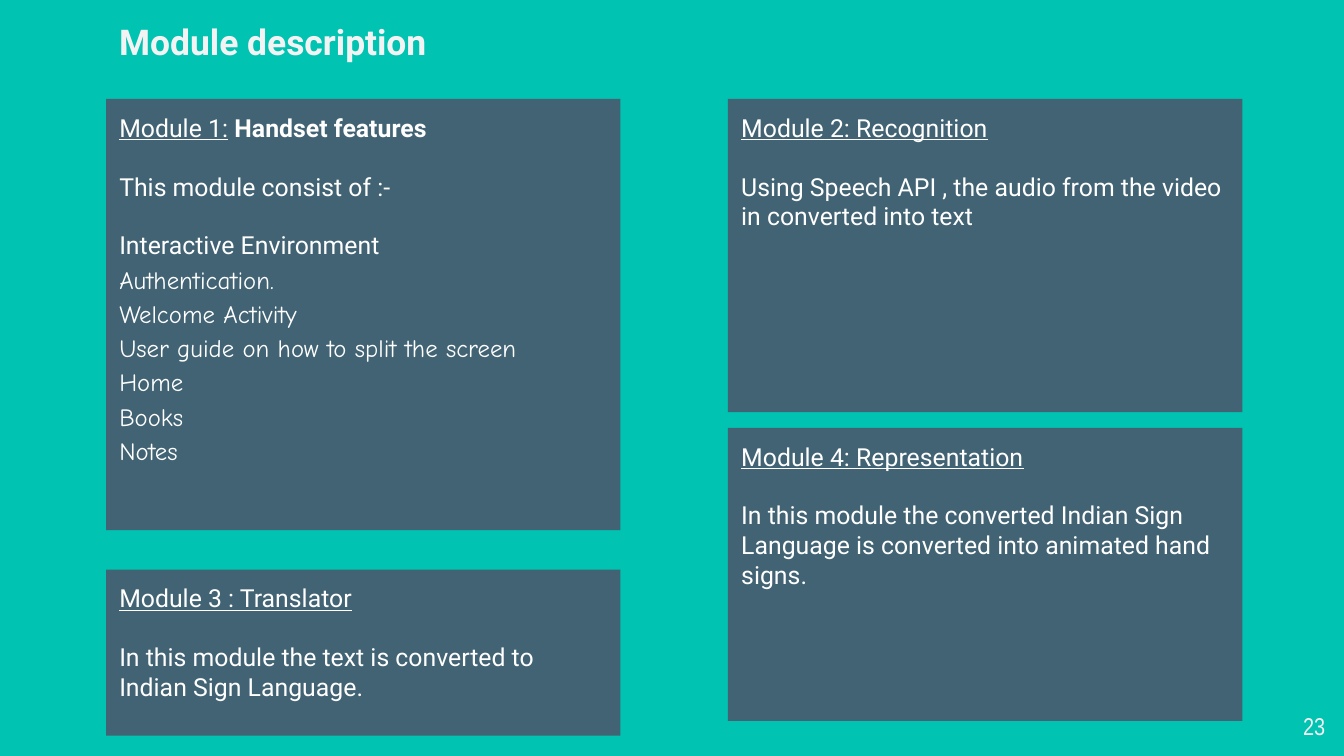
from lxml.etree import SubElement
from pptx import Presentation
from pptx.dml.color import RGBColor
from pptx.enum.shapes import MSO_SHAPE as Shape
from pptx.enum.text import MSO_ANCHOR as Anchor, PP_ALIGN as Align
from pptx.oxml.ns import qn
from pptx.util import Pt

TEAL = RGBColor(0x00, 0xC3, 0xB1)
PLUM = RGBColor(0x74, 0x1B, 0x47)
WHITE = RGBColor(0xFF, 0xFF, 0xFF)
PALE = RGBColor(0xF3, 0xF3, 0xF3)

BODY_SIZE = 13.3
GAP = 15.6  # one body line


def set_frame(shape):
    frame = shape.text_frame
    frame.word_wrap = True
    frame.vertical_anchor = Anchor.TOP
    frame.margin_left = frame.margin_right = Pt(7.2)
    frame.margin_top = frame.margin_bottom = Pt(7.2)
    return frame


def add_run(paragraph, text, font="Roboto", size=BODY_SIZE, color=WHITE,
            bold=False, underline=False, align=Align.LEFT):
    paragraph.alignment = align
    run = paragraph.add_run()
    run.text = text
    run.font.name = font
    run.font.size = Pt(size)
    run.font.color.rgb = color
    run.font.bold = bold
    run.font.underline = underline


presentation = Presentation()
presentation.slide_width = Pt(720)
presentation.slide_height = Pt(405)
slide = presentation.slides.add_slide(presentation.slide_layouts[6])
slide.background.fill.solid()
slide.background.fill.fore_color.rgb = TEAL

# Title
title = slide.shapes.add_textbox(Pt(56.8), Pt(3.6), Pt(204.5), Pt(45.4))
add_run(set_frame(title).paragraphs[0], "Module description",
        size=19, color=PALE, bold=True)

# Module panels: left, top, height, heading, bold heading part, texts, list
LEFT, RIGHT, PANEL_WIDTH = 56.8, 390, 275.6
FEATURES = ["Authentication.", "Welcome Activity",
            "User guide on how to split the screen", "Home", "Books", "Notes"]
panels = [
    (LEFT, 53, 231, "Module 1:", "Handset features",
     ["This module consist of :-", "Interactive Environment"], FEATURES),
    (RIGHT, 53, 167.8, "Module 2: Recognition", "",
     ["Using Speech API , the audio from the video in converted into text"], []),
    (RIGHT, 229.2, 157, "Module 4: Representation", "",
     ["In this module the converted Indian Sign Language is converted "
      "into animated hand signs."], []),
    (LEFT, 305.2, 89, "Module 3 : Translator", "",
     ["In this module the text is converted to Indian Sign Language."], []),
]
for left, top, height, heading, bold_part, texts, items in panels:
    panel = slide.shapes.add_shape(Shape.RECTANGLE, Pt(left), Pt(top),
                                   Pt(PANEL_WIDTH), Pt(height))
    panel.shadow.inherit = False
    panel.line.fill.background()
    panel.fill.solid()
    panel.fill.fore_color.rgb = PLUM
    color = panel.fill._xPr.find(".//" + qn("a:srgbClr"))
    SubElement(color, qn("a:alpha"), val="57000")

    frame = set_frame(panel)
    paragraph = frame.paragraphs[0]
    add_run(paragraph, heading, underline=True)
    if bold_part:
        add_run(paragraph, " " + bold_part, bold=True)
    for text in texts:
        paragraph = frame.add_paragraph()
        paragraph.space_before = Pt(GAP)
        add_run(paragraph, text)
    for item in items:
        paragraph = frame.add_paragraph()
        paragraph.line_spacing = 1.15
        add_run(paragraph, item, font="Comic Neue")

# Slide number
number = slide.shapes.add_textbox(Pt(674), Pt(373.7), Pt(43), Pt(31))
add_run(set_frame(number).paragraphs[0], "23", font="Arial Narrow",
        size=13, color=PALE, align=Align.RIGHT)

presentation.save("out.pptx")
